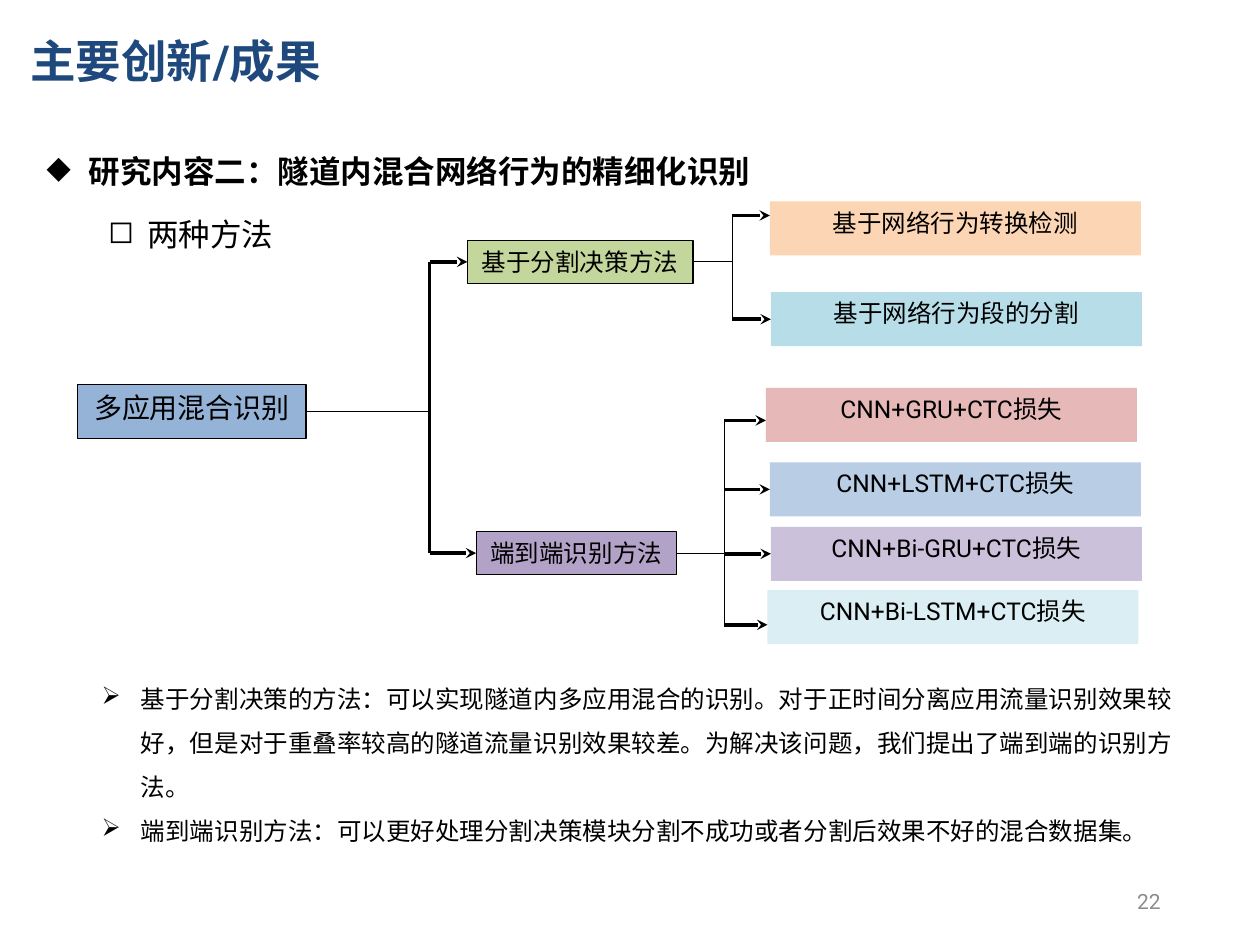
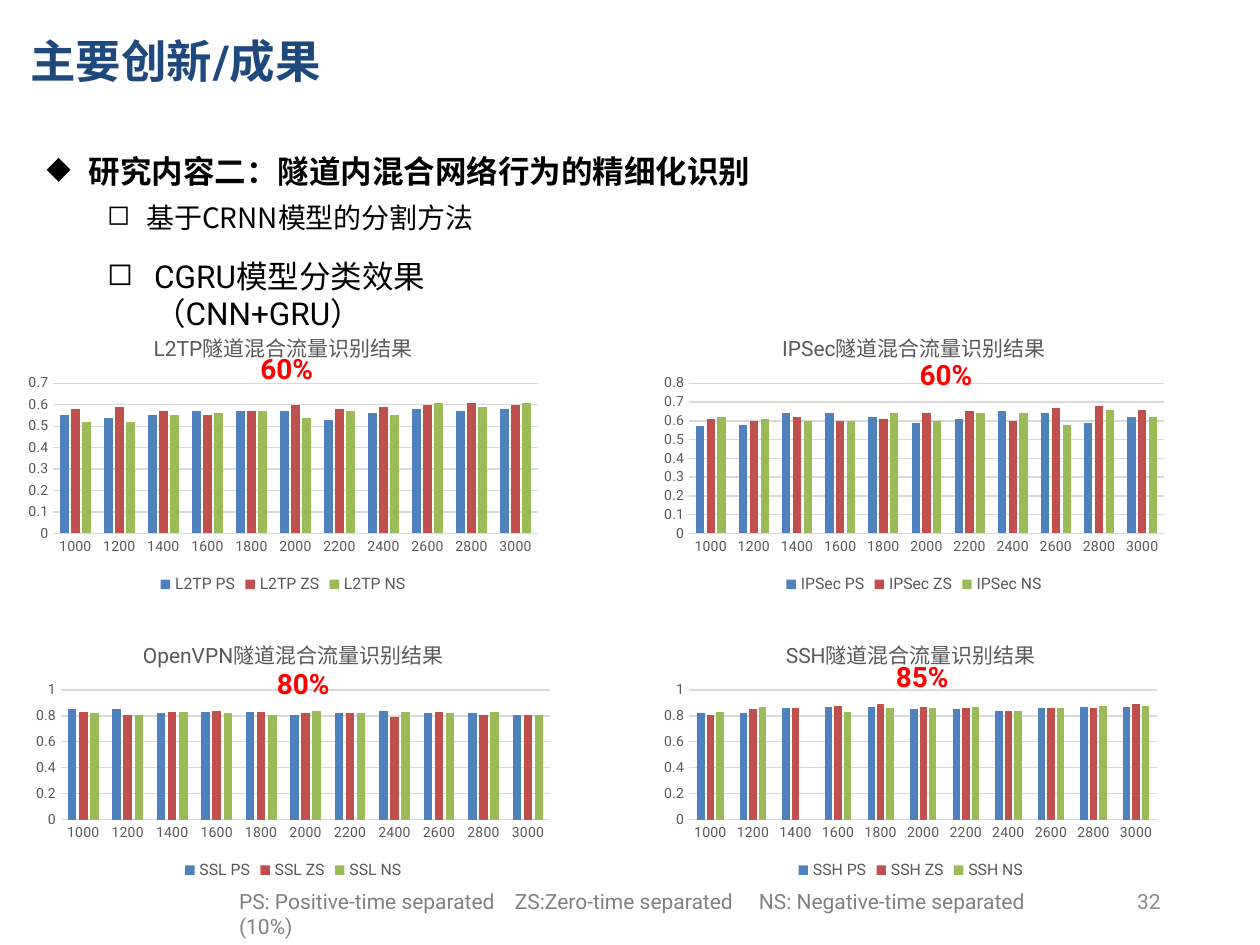
from lxml import etree
from pptx import Presentation
from pptx.chart.data import CategoryChartData
from pptx.dml.color import RGBColor
from pptx.enum.chart import XL_CHART_TYPE, XL_LEGEND_POSITION, XL_TICK_MARK
from pptx.enum.shapes import MSO_CONNECTOR, MSO_SHAPE
from pptx.enum.text import MSO_ANCHOR, PP_ALIGN
from pptx.oxml.ns import qn
from pptx.util import Cm, Pt

COLUMNS = XL_CHART_TYPE.COLUMN_CLUSTERED
LEGEND_BOTTOM = XL_LEGEND_POSITION.BOTTOM
NO_TICK = XL_TICK_MARK.NONE
STRAIGHT = MSO_CONNECTOR.STRAIGHT
RECT = MSO_SHAPE.RECTANGLE
MIDDLE = MSO_ANCHOR.MIDDLE
LEFT, CENTER, RIGHT = PP_ALIGN.LEFT, PP_ALIGN.CENTER, PP_ALIGN.RIGHT
LEFT_SIDE, RIGHT_SIDE = 1, 3
TITLE_ONLY = 5

LATIN, CJK, SERIF = "Roboto", "Noto Sans CJK SC", "Times New Roman"
BLACK, NAVY, RED = "000000", "1F497D", "FF0000"
PAGE_GREY, NOTE_GREY = "8C8C8C", "808080"
CHART_TEXT, CHART_LINE = "595959", "D9D9D9"
SERIES_COLORS = ("4F81BD", "C0504D", "9BBB59")


def rgb(value):
    return RGBColor.from_string(value)


def middle(sp):
    return sp.top + sp.height // 2


class Deck:
    """Holds the shared style and the slide being filled."""

    def __init__(self):
        self.prs = Presentation()
        self.prs.slide_width, self.prs.slide_height = Cm(25.4), Cm(19.05)
        self.s = None

    def style(self, p, size, color=BLACK, bold=False, font=LATIN, align=LEFT):
        p.alignment = align
        for r in p.runs:
            r.font.size, r.font.bold, r.font.name = Pt(size), bold, font
            r.font.color.rgb = rgb(color)
            etree.SubElement(r._r.get_or_add_rPr(), qn("a:ea"), typeface=CJK)

    def slide(self, title, page, topic):
        self.s = self.prs.slides.add_slide(self.prs.slide_layouts[TITLE_ONLY])
        sp = self.s.shapes.title
        sp.left, sp.top, sp.width, sp.height = Cm(0.36), Cm(0.41), Cm(19.38), Cm(1.63)
        tf = sp.text_frame
        tf.text = title
        tf.vertical_anchor = MIDDLE
        self.style(tf.paragraphs[0], 26, NAVY, bold=True)
        tf = self.text(17.93, 17.65, 5.72, 1.02, page, 12, color=PAGE_GREY, align=RIGHT)
        tf.vertical_anchor = MIDDLE
        self.bullets(0.69, 2.72, 23.42, 1.22, [topic], 18, "◆", hang=0.85,
                     spacing=1.3, bold=True, font=SERIF)

    def text(self, x, y, w, h, content, size, wrap=True, **style):
        tf = self.s.shapes.add_textbox(Cm(x), Cm(y), Cm(w), Cm(h)).text_frame
        tf.word_wrap = wrap
        tf.text = content
        for p in tf.paragraphs:
            self.style(p, size, **style)
        return tf

    def bullets(self, x, y, w, h, items, size, mark, hang=0.79, spacing=None, **style):
        tf = self.text(x, y, w, h, "\n".join(items), size, **style)
        for p in tf.paragraphs:
            pPr = p._p.get_or_add_pPr()
            pPr.set("marL", str(Cm(hang)))
            pPr.set("indent", str(-Cm(hang)))
            etree.SubElement(pPr, qn("a:buChar"), char=mark)
            if spacing:
                p.line_spacing = spacing

    def tabbed(self, x, y, w, h, parts, stops, size, **style):
        """One line of parts, each later part starting at its tab stop."""
        tf = self.text(x, y, w, h, "\t".join(parts), size, **style)
        tabs = etree.SubElement(tf.paragraphs[0]._p.get_or_add_pPr(), qn("a:tabLst"))
        for stop in stops:
            etree.SubElement(tabs, qn("a:tab"), pos=str(Cm(stop)), algn="l")

    def box(self, x, y, w, h, label, fill, size=14, outlined=False):
        sp = self.s.shapes.add_shape(RECT, Cm(x), Cm(y), Cm(w), Cm(h))
        sp.shadow.inherit = False
        sp.fill.solid()
        sp.fill.fore_color.rgb = rgb(fill)
        if outlined:
            sp.line.color.rgb = rgb(BLACK)
            sp.line.width = Pt(0)
        else:
            sp.line.fill.background()
        tf = sp.text_frame
        tf.text = label
        tf.vertical_anchor = MSO_ANCHOR.TOP
        self.style(tf.paragraphs[0], size, align=CENTER)
        return sp

    def line(self, x1, y1, x2, y2, width=0, arrow=False):
        c = self.s.shapes.add_connector(STRAIGHT, x1, y1, x2, y2)
        c.line.color.rgb = rgb(BLACK)
        c.line.width = Pt(width)
        if arrow:
            etree.SubElement(c.line._get_or_add_ln(), qn("a:tailEnd"), type="stealth")
        etree.SubElement(c._element.spPr, qn("a:effectLst"))
        return c

    def fan(self, parent, trunk, children, stem_width=0.5, trunk_width=0.75):
        """Join parent to (child, arrow offset) pairs through a vertical trunk."""
        x = Cm(trunk)
        stem = self.line(parent.left + parent.width, middle(parent), x, middle(parent), stem_width)
        stem.begin_connect(parent, RIGHT_SIDE)
        levels = [middle(sp) + Cm(offset) for sp, offset in children]
        self.line(x, levels[0], x, levels[-1], trunk_width)
        for (sp, offset), y in zip(children, levels):
            arrow = self.line(x, y, sp.left, y, arrow=True)
            if not offset:
                arrow.end_connect(sp, LEFT_SIDE)

    def chart(self, x, y, w, h, title, categories, series, gap=160, overlap=-30):
        data = CategoryChartData()
        data.categories = categories
        for name, values in series:
            data.add_series(name, values)
        chart = self.s.shapes.add_chart(COLUMNS, Cm(x), Cm(y), Cm(w), Cm(h), data).chart
        chart.font.size, chart.font.name = Pt(10), LATIN
        chart.font.color.rgb = rgb(BLACK)
        tf = chart.chart_title.text_frame
        tf.text = title
        self.style(tf.paragraphs[0], 12, CHART_TEXT, align=CENTER)
        chart.has_legend = True
        chart.legend.position = LEGEND_BOTTOM
        chart.legend.include_in_layout = False
        cat_axis, val_axis = chart.category_axis, chart.value_axis
        for item, size in ((cat_axis.tick_labels, 8), (val_axis.tick_labels, 8), (chart.legend, 9)):
            item.font.size, item.font.name = Pt(size), LATIN
            item.font.color.rgb = rgb(CHART_TEXT)
        for axis in (cat_axis, val_axis):
            axis.major_tick_mark = axis.minor_tick_mark = NO_TICK
        val_axis.minimum_scale = 0
        val_axis.format.line.fill.background()
        val_axis.has_major_gridlines = True
        for line in (cat_axis.format.line, val_axis.major_gridlines.format.line):
            line.color.rgb = rgb(CHART_LINE)
            line.width = Pt(0.75)
        plot = chart.plots[0]
        plot.vary_by_categories = False
        plot.gap_width, plot.overlap = gap, overlap
        for ser, color in zip(plot.series, SERIES_COLORS):
            ser.invert_if_negative = False
            ser.format.fill.solid()
            ser.format.fill.fore_color.rgb = rgb(color)


TITLE = "主要创新/成果"
TOPIC = "研究内容二：隧道内混合网络行为的精细化识别"

# label, fill, left, top, arrow offset from the middle of the box
SPLIT_LEAVES = [
    ("基于网络行为转换检测", "FCD5B5", 15.52, 4.06, -0.26),
    ("基于网络行为段的分割", "B7DEE8", 15.54, 5.89, 0),
]
END_TO_END_LEAVES = [
    ("CNN+GRU+CTC损失", "E6B9B8", 15.44, 7.82, 0.11),
    ("CNN+LSTM+CTC损失", "B9CDE5", 15.52, 9.32, 0),
    ("CNN+Bi-GRU+CTC损失", "CCC1DA", 15.54, 10.62, 0),
    ("CNN+Bi-LSTM+CTC损失", "DBEEF4", 15.47, 11.89, 0.16),
]
SUMMARY = [
    "基于分割决策的方法：可以实现隧道内多应用混合的识别。对于正时间分离应用流量识别效果较好，"
    "但是对于重叠率较高的隧道流量识别效果较差。为解决该问题，我们提出了端到端的识别方法。",
    "端到端识别方法：可以更好处理分割决策模块分割不成功或者分割后效果不好的混合数据集。",
]

PACKETS = [str(n) for n in range(1000, 3001, 200)]
TIMINGS = ("PS", "ZS", "NS")
# tunnel, series prefix, chart frame, rate and its place, bar spacing, values per timing
RESULTS = [
    ("L2TP", "L2TP", (0.36, 6.3, 10.69, 5.77), ("60%", 5, 6.96), (160, -30), [
        (0.55, 0.54, 0.55, 0.57, 0.57, 0.57, 0.53, 0.56, 0.58, 0.57, 0.58),
        (0.58, 0.59, 0.57, 0.55, 0.57, 0.6, 0.58, 0.59, 0.6, 0.61, 0.6),
        (0.52, 0.52, 0.55, 0.56, 0.57, 0.54, 0.57, 0.55, 0.61, 0.59, 0.61)]),
    ("IPSec", "IPSec", (13.18, 6.3, 10.49, 5.77), ("60%", 18.29, 7.09), (160, -30), [
        (0.57, 0.58, 0.64, 0.64, 0.62, 0.59, 0.61, 0.65, 0.64, 0.59, 0.62),
        (0.61, 0.6, 0.62, 0.6, 0.61, 0.64, 0.65, 0.6, 0.67, 0.68, 0.66),
        (0.62, 0.61, 0.6, 0.6, 0.64, 0.6, 0.64, 0.64, 0.58, 0.66, 0.62)]),
    ("OpenVPN", "SSL", (0.51, 12.5, 10.8, 5.33), ("80%", 5.33, 13.31), (160, -30), [
        (0.85, 0.85, 0.82, 0.83, 0.83, 0.81, 0.82, 0.84, 0.82, 0.82, 0.81),
        (0.83, 0.81, 0.83, 0.84, 0.83, 0.82, 0.82, 0.79, 0.83, 0.81, 0.81),
        (0.82, 0.81, 0.83, 0.82, 0.81, 0.84, 0.82, 0.83, 0.82, 0.83, 0.81)]),
    ("SSH", "SSH", (13.18, 12.5, 10.36, 5.33), ("85%", 17.81, 13.18), (219, -27), [
        (0.82, 0.82, 0.86, 0.87, 0.87, 0.85, 0.85, 0.84, 0.86, 0.87, 0.87),
        (0.81, 0.85, 0.86, 0.88, 0.89, 0.87, 0.86, 0.84, 0.86, 0.86, 0.89),
        (0.83, 0.87, 0, 0.83, 0.86, 0.86, 0.87, 0.84, 0.86, 0.88, 0.88)]),
]


def methods_slide(deck):
    deck.slide(TITLE, "22", TOPIC)
    deck.bullets(1.93, 4.22, 19.61, 2.39, ["两种方法"], 18, "◻", font=CJK)
    root = deck.box(1.57, 7.75, 4.6, 1.09, "多应用混合识别", "95B3D7", 16, outlined=True)
    split = deck.box(9.42, 4.85, 4.55, 0.86, "基于分割决策方法", "C3D69B", outlined=True)
    end_to_end = deck.box(9.6, 10.72, 4.04, 0.86, "端到端识别方法", "B3A2C7", outlined=True)
    deck.fan(root, 8.66, [(split, 0), (end_to_end, 0)], stem_width=1, trunk_width=0)
    for parent, trunk, leaves in ((split, 14.76, SPLIT_LEAVES), (end_to_end, 14.6, END_TO_END_LEAVES)):
        children = [(deck.box(x, y, 7.48, 1.09, label, fill), offset)
                    for label, fill, x, y, offset in leaves]
        deck.fan(parent, trunk, children)
    deck.bullets(1.8, 13.36, 22.3, 3.84, SUMMARY, 14, "➢", spacing=1.5)


def results_slide(deck):
    deck.slide(TITLE, "32", TOPIC)
    deck.bullets(1.91, 3.91, 19.61, 0.94, ["基于CRNN模型的分割方法"], 16, "◻", font=CJK)
    deck.bullets(1.91, 5.05, 10.85, 1.02, ["CGRU模型分类效果（CNN+GRU）"], 18, "◻", hang=0.95)
    for tunnel, prefix, frame, (rate, x, y), (gap, overlap), values in RESULTS:
        series = [(f"{prefix} {timing}", v) for timing, v in zip(TIMINGS, values)]
        deck.chart(*frame, f"{tunnel}隧道混合流量识别结果", PACKETS, series, gap, overlap)
        deck.text(x, y, 1.57, 0.94, rate, 16, wrap=False, color=RED, bold=True)
    legend = ["PS: Positive-time separated", "ZS:Zero-time separated",
              "NS: Negative-time separated (10%)"]
    deck.tabbed(4.57, 17.78, 16.74, 0.76, legend, (5.56, 10.48), 12, color=NOTE_GREY)


def main():
    deck = Deck()
    methods_slide(deck)
    results_slide(deck)
    deck.prs.save("out.pptx")


if __name__ == "__main__":
    main()
